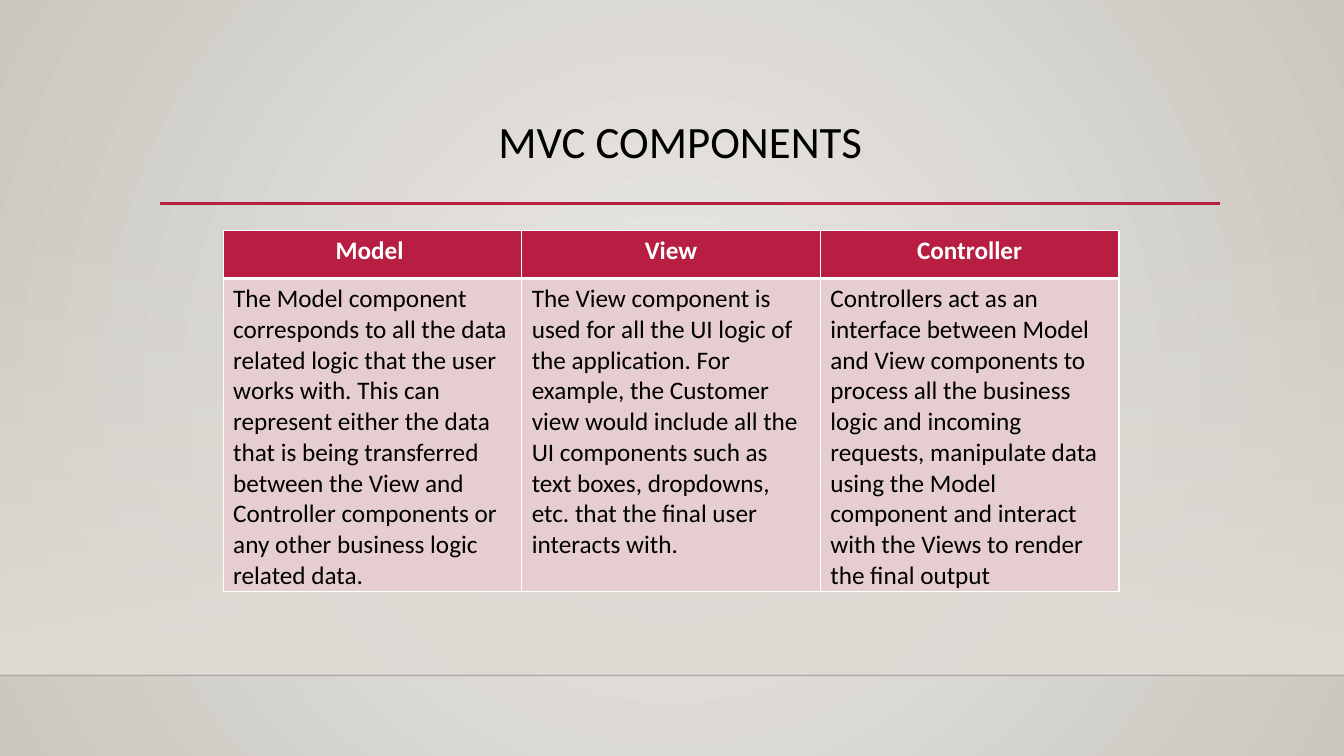
from dataclasses import dataclass

from lxml import etree
from pptx import Presentation
from pptx import util as u
from pptx.dml.color import RGBColor
from pptx.enum import shapes, text
from pptx.oxml.ns import qn

Pt = u.Pt
FONT = "Calibri"
WIDE, HIGH = 960, 540
HEX = {
    "red": "B71E42",
    "pink": "E6CDCF",
    "white": "FFFFFF",
    "black": "000000",
    "edge": "000001",
    "glow": "ECEAE7",
    "rim": "CAC7C1",
    "sand": "DFDBD5",
}


@dataclass
class Stop:
    pos: int
    hue: str
    alpha: int = 100


@dataclass
class Rule:
    left: float
    right: float
    top: float
    hue: str
    width: float
    alpha: int = 100


@dataclass
class Part:
    name: str
    body: str


RULES = [
    Rule(0, WIDE, 482.4, "edge", 1, 20),
    Rule(114.5, 871.2, 145.4, "red", 2.5),
]
PARTS = [
    Part("Model ", "The Model component corresponds to all the data related logic that the user works with. "
         "This can represent either the data that is being transferred between the View and "
         "Controller components or any other business logic related data."),
    Part("View", "The View component is used for all the UI logic of the application. For example, "
         "the Customer view would include all the UI components such as text boxes, dropdowns, "
         "etc. that the final user interacts with."),
    Part("Controller", "Controllers act as an interface between Model and View components to process all the "
         "business logic and incoming requests, manipulate data using the Model component and "
         "interact with the Views to render the final output"),
]


def add(root, tag: str, **attrs):
    return etree.SubElement(root, qn(tag), {k: str(v) for k, v in attrs.items()})


def tint(root, hue: str, alpha: int = 100) -> None:
    clr = add(root, "a:srgbClr", val=HEX[hue])
    if alpha < 100:
        add(clr, "a:alpha", val=alpha * 1000)


def blend(fill, root, stops: list[Stop], round_: bool) -> None:
    fill.gradient()
    grad = next(root.iter(qn("a:gradFill")))
    for kid in list(grad):
        grad.remove(kid)
    group = add(grad, "a:gsLst")
    for stop in stops:
        tint(add(group, "a:gs", pos=stop.pos * 1000), stop.hue, stop.alpha)
    if round_:
        ring = add(grad, "a:path", path="circle")
        add(ring, "a:fillToRect", l=50000, t=50000, r=50000, b=50000)
    else:
        add(grad, "a:lin", ang=5400000, scaled=0)


def draw_rule(slide, rule: Rule) -> None:
    line = slide.shapes.add_connector(
        shapes.MSO_CONNECTOR.STRAIGHT,
        Pt(rule.left), Pt(rule.top), Pt(rule.right), Pt(rule.top))
    line.line.width = Pt(rule.width)
    line.line.color.rgb = RGBColor.from_string(HEX[rule.hue])
    if rule.alpha < 100:
        clr = next(line.element.spPr.iter(qn("a:srgbClr")))
        add(clr, "a:alpha", val=rule.alpha * 1000)
    add(line.element.spPr, "a:effectLst")


def write(frame, words: str, size: int, hue: str, bold: bool, mid: bool):
    para = frame.paragraphs[0]
    para.alignment = text.PP_ALIGN.CENTER if mid else text.PP_ALIGN.LEFT
    run = para.add_run()
    run.text = words
    run.font.name = FONT
    run.font.size = Pt(size)
    run.font.bold = bold
    run.font.color.rgb = RGBColor.from_string(HEX[hue])
    return para


def border(cell, top: int, base: int) -> None:
    props = cell._tc.get_or_add_tcPr()
    for side, width in (("L", 1), ("R", 1), ("T", top), ("B", base)):
        line = add(props, f"a:ln{side}", w=Pt(width))
        tint(add(line, "a:solidFill"), "white")


def draw_cell(cell, words: str, head: bool) -> None:
    border(cell, 1 if head else 3, 3 if head else 1)
    cell.fill.solid()
    cell.fill.fore_color.rgb = RGBColor.from_string(HEX["red" if head else "pink"])
    write(cell.text_frame, words, 18, "white" if head else "black", head, head)


def draw_table(slide, parts: list[Part]) -> None:
    grid = slide.shapes.add_table(
        2, len(parts), Pt(159.4), Pt(164.4), Pt(640), Pt(258)).table
    grid.rows[0].height = Pt(34.5)
    grid.rows[1].height = Pt(223.5)
    for i, part in enumerate(parts):
        grid.columns[i].width = Pt(213.3)
        draw_cell(grid.cell(0, i), part.name, True)
        draw_cell(grid.cell(1, i), part.body, False)


def draw_wall(slide) -> None:
    blend(slide.background.fill, slide.element,
          [Stop(0, "glow"), Stop(100, "rim")], True)
    wall = slide.shapes.add_shape(
        shapes.MSO_SHAPE.RECTANGLE, 0, Pt(159), Pt(WIDE), Pt(323.4))
    wall.shadow.inherit = False
    wall.line.fill.background()
    blend(wall.fill, wall.element,
          [Stop(0, "sand", 0), Stop(100, "sand")], False)


def draw_title(slide, words: str) -> None:
    frame = slide.shapes.add_textbox(Pt(108), Pt(82), Pt(756), Pt(83)).text_frame
    frame.word_wrap = True
    frame.vertical_anchor = text.MSO_ANCHOR.TOP
    write(frame, words, 32, "black", False, True).line_spacing = 0.9


def main() -> None:
    deck = Presentation()
    deck.slide_width, deck.slide_height = Pt(WIDE), Pt(HIGH)
    slide = deck.slides.add_slide(deck.slide_layouts[6])
    draw_wall(slide)
    for rule in RULES:
        draw_rule(slide, rule)
    draw_title(slide, "MVC COMPONENTS")
    draw_table(slide, PARTS)
    deck.save("out.pptx")


if __name__ == "__main__":
    main()
